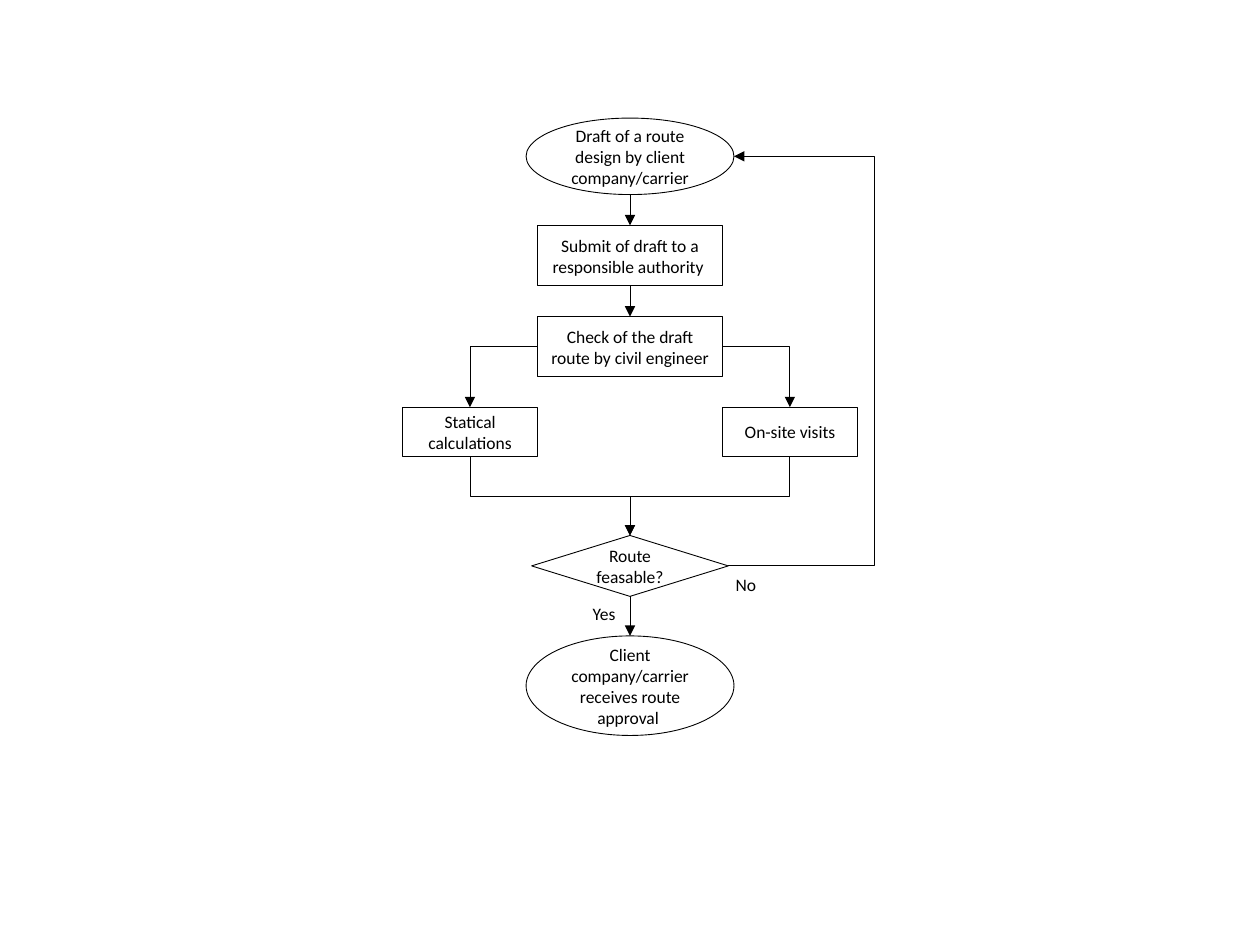
"""Build the route approval flow chart."""
from dataclasses import dataclass

from lxml import etree
from pptx import Presentation
from pptx import util as u
from pptx.dml.color import RGBColor
from pptx.enum import shapes, text
from pptx.oxml.ns import qn

BLACK = RGBColor(0, 0, 0)
MID, SIDE = 360, 91.4
OVAL = shapes.MSO_SHAPE.OVAL
RECT = shapes.MSO_SHAPE.RECTANGLE
DIAMOND = shapes.MSO_SHAPE.DIAMOND
STRAIGHT = shapes.MSO_CONNECTOR.STRAIGHT
ELBOW = shapes.MSO_CONNECTOR.ELBOW


@dataclass
class Node:
    words: str
    top: float
    width: float
    height: float
    kind: shapes.MSO_SHAPE = RECT
    mid: float = MID

    @property
    def base(self) -> float:
        return self.top + self.height

    @property
    def row(self) -> float:
        return self.top + self.height / 2

    @property
    def left(self) -> float:
        return self.mid - self.width / 2

    @property
    def right(self) -> float:
        return self.mid + self.width / 2


@dataclass
class Label:
    words: str
    left: float
    top: float
    width: float


def write(frame, words: str, align) -> None:
    for num, line in enumerate(words.split("\n")):
        para = frame.add_paragraph() if num else frame.paragraphs[0]
        para.alignment = align
        run = para.add_run()
        run.text = line
        run.font.size = u.Pt(10)
        run.font.name = "Calibri"
        run.font.color.rgb = BLACK


def draw_node(slide, node: Node) -> None:
    box = slide.shapes.add_shape(node.kind, u.Pt(node.left), u.Pt(node.top),
                                 u.Pt(node.width), u.Pt(node.height))
    box.shadow.inherit = False
    box.fill.background()
    box.line.color.rgb = BLACK
    box.line.width = u.Pt(0.5)
    box.text_frame.word_wrap = True
    box.text_frame.vertical_anchor = text.MSO_ANCHOR.MIDDLE
    write(box.text_frame, node.words, text.PP_ALIGN.CENTER)


def draw_label(slide, label: Label) -> None:
    box = slide.shapes.add_textbox(u.Pt(label.left), u.Pt(label.top),
                                   u.Pt(label.width), u.Pt(19.4))
    box.text_frame.word_wrap = False
    box.text_frame.auto_size = text.MSO_AUTO_SIZE.SHAPE_TO_FIT_TEXT
    write(box.text_frame, label.words, text.PP_ALIGN.LEFT)


def link(slide, kind, x: float, y: float, to_x: float, to_y: float):
    line = slide.shapes.add_connector(kind, u.Pt(x), u.Pt(y), u.Pt(to_x), u.Pt(to_y))
    line.line.color.rgb = BLACK
    line.line.width = u.Pt(0.5)
    props = line._element.spPr
    etree.SubElement(props.find(qn("a:ln")), qn("a:tailEnd"), type="triangle")
    etree.SubElement(props, qn("a:effectLst"))
    return props


def down(slide, start: Node, end: Node) -> None:
    link(slide, STRAIGHT, start.mid, start.base, end.mid, end.top)


def split(slide, start: Node, end: Node) -> None:
    edge = start.left if end.mid < start.mid else start.right
    props = link(slide, ELBOW, edge, start.row, end.mid, end.top)
    props.find(qn("a:prstGeom")).set("prst", "bentConnector2")


def merge(slide, start: Node, end: Node) -> None:
    run, drop = end.mid - start.mid, end.top - start.base
    mid, row = start.mid + run / 2, start.base + drop / 2
    turn = -1 if run > 0 else 1
    dx, dy = turn * drop / 2, turn * run / 2
    props = link(slide, ELBOW, mid - dx, row + dy, mid + dx, row - dy)
    props.find(qn("a:xfrm")).set("rot", str(turn * 90 % 360 * 60000))


def back(slide, start: Node, end: Node, lane: float) -> None:
    props = link(slide, ELBOW, start.right, start.row, end.right, end.row)
    bend = round((lane - start.right) / (end.right - start.right) * 100000)
    guides = props.find(qn("a:prstGeom")).get_or_add_avLst()
    etree.SubElement(guides, qn("a:gd"), name="adj1", fmla=f"val {bend}")


def main() -> None:
    deck = Presentation()
    deck.slide_width, deck.slide_height = u.Pt(720), u.Pt(540)
    slide = deck.slides.add_slide(deck.slide_layouts[6])

    draft = Node("Draft of a route design by client company/carrier", 67.5, 118.8, 43.7, OVAL)
    submit = Node("Submit of draft to a responsible authority ", 128.8, 105.8, 34.5)
    check = Node("Check of the draft route by civil engineer ", 180.9, 105.8, 34.5)
    calc = Node("Statical calculations", 232.7, 77.2, 28.3, mid=MID - SIDE)
    visit = Node("On-site visits", 232.7, 77.2, 28.3, mid=MID + SIDE)
    gate = Node("Route\nfeasable?", 306, 112.4, 34.8, DIAMOND)
    grant = Node("Client company/carrier receives route approval ", 363.4, 118.8, 56.9, OVAL)

    for node in (draft, submit, check, calc, visit, gate, grant):
        draw_node(slide, node)
    for start, end in ((draft, submit), (submit, check), (gate, grant)):
        down(slide, start, end)
    for branch in (calc, visit):
        split(slide, check, branch)
        merge(slide, branch, gate)
    back(slide, gate, draft, 499.7)
    for label in (Label("No", 413.3, 324.2, 26.6), Label("Yes", 331.6, 341, 28)):
        draw_label(slide, label)
    deck.save("out.pptx")


main()
